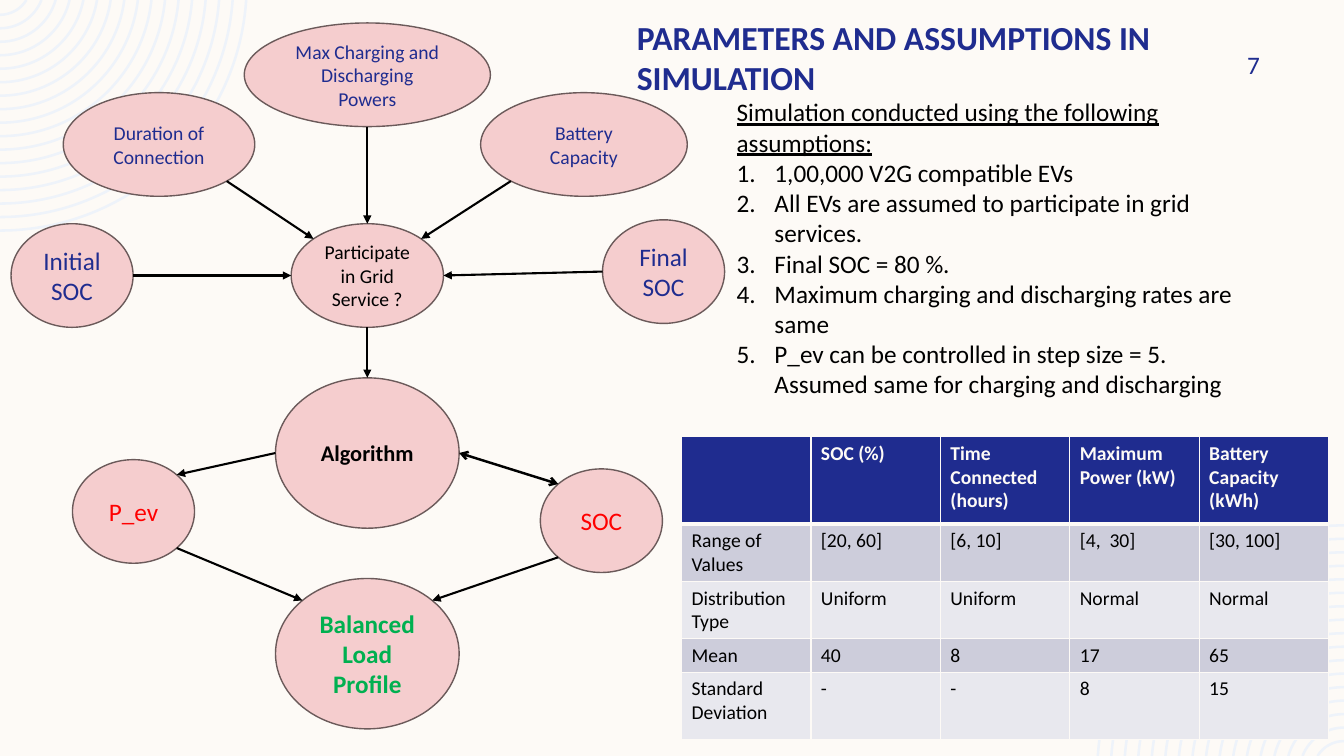
from dataclasses import dataclass
from math import asin, cos, pi, sin, sqrt, tan

from lxml.etree import SubElement as Sub
from pptx import Presentation
from pptx.dml.color import RGBColor as RGB
from pptx.enum.shapes import MSO_CONNECTOR as Conn, MSO_SHAPE as Kind
from pptx.enum.text import MSO_ANCHOR as Anchor, MSO_AUTO_SIZE as Fit, PP_ALIGN as Align
from pptx.oxml.ns import qn
from pptx.util import Pt

CREAM = RGB(0xFD, 0xFA, 0xF6)
PALE = RGB(0xEE, 0xF3, 0xFA)
NAVY = RGB(0x1F, 0x2C, 0x8F)
PINK = RGB(0xF5, 0xCD, 0xCE)
BROWN = RGB(0x6B, 0x5A, 0x5A)
RED = RGB(0xFF, 0, 0)
GREEN = RGB(0, 0xB0, 0x50)
BLACK = RGB(0, 0, 0)
BANDS = (RGB(0xCD, 0xCD, 0xDB), RGB(0xE8, 0xE8, 0xEE))
WIDE, HIGH = 960, 540


@dataclass
class Node:
    text: str
    x: float  # centre
    y: float
    w: float = 87.2
    h: float = 74
    size: int = 18
    color: RGB = NAVY
    bold: bool = False

    def site(self, side: str) -> tuple[float, float]:
        """Point on the ellipse at a compass side."""
        dx = ("E" in side) - ("W" in side)
        dy = ("S" in side) - ("N" in side)
        k = 1 / sqrt(dx * dx + dy * dy)
        return self.x + dx * k * self.w / 2, self.y + dy * k * self.h / 2


@dataclass
class Link:
    start: str
    out: str
    end: str
    into: str
    both: bool = False


MID = 262.4
NODES = {
    "algo": Node("Algorithm", MID, 323.6, 131.2, 107.4, 16, BLACK, True),
    "init": Node("Initial SOC", 51.5, 196.8),
    "time": Node("Duration of Connection", 113.6, 103.2, 136.8, size=14),
    "cap": Node("Battery Capacity", 417.1, 103.2, 147.6, size=14),
    "join": Node("Participate\nin Grid Service ?", MID, 196.8, 108.8, size=14, color=BLACK),
    "pev": Node("P_ev", 95.4, 365.3, color=RED),
    "soc": Node("SOC", 429.6, 371.9, color=RED),
    "load": Node("Balanced Load Profile", MID, 466.9, 131.2, 107.4, color=GREEN, bold=True),
    "last": Node("Final SOC", 474, 194),
    "max": Node("Max Charging and Discharging Powers", MID, 53.4, 175.8, size=14),
}
LINKS = [
    Link("init", "E", "join", "W"),
    Link("time", "SE", "join", "NW"),
    Link("max", "S", "join", "N"),
    Link("cap", "SW", "join", "NE"),
    Link("last", "W", "join", "E"),
    Link("algo", "W", "pev", "NE"),
    Link("algo", "E", "soc", "NW", True),
    Link("join", "S", "algo", "N"),
    Link("pev", "SE", "load", "NW"),
    Link("soc", "SW", "load", "NE"),
]
RULES = [
    "1,00,000 V2G compatible EVs",
    "All EVs are assumed to participate in grid services.",
    "Final SOC = 80 %.",
    "Maximum charging and discharging rates are same",
    "P_ev can be controlled in step size = 5. Assumed same for charging and discharging",
]
ROWS = [
    (62.6, ["", "SOC (%)", "Time Connected (hours)", "Maximum Power (kW)", "Battery Capacity (kWh)"]),
    (33.8, ["Range of Values", "[20, 60]", "[6, 10]", "[4,  30]", "[30, 100]"]),
    (33.8, ["Distribution Type", "Uniform", "Uniform", "Normal", "Normal"]),
    (19.4, ["Mean", "40", "8", "17", "65"]),
    (48.2, ["Standard Deviation", "-", "-", "8", "15"]),
]


def style(par, size: int, color: RGB, bold: bool = False) -> None:
    font = par.font
    font.name, font.size, font.bold = "Calibri", Pt(size), bold
    font.color.rgb = color


def arc(r: float, far: bool) -> list:
    """Start, two handles and end of an arc around a point just off the corner."""
    low, drop = asin(11.5 / r), 11.5
    k = 4 / 3 * tan((pi / 2 - low) / 4) * r
    x, y = r * cos(low), r * sin(low) - drop
    pts = [(x, y), (x - k * sin(low), y + k * cos(low)), (k, r - drop), (0, r - drop)]
    return [(Pt(WIDE - x), Pt(HIGH - y)) if far else (Pt(x), Pt(y)) for x, y in pts]


def rings(slide, far: bool) -> None:
    """Concentric arcs in the top left corner, or turned to the bottom right."""
    arcs = [arc(176.2 - 9.63 * i, far) for i in range(17)]
    form = slide.shapes.build_freeform(*arcs[0][0], scale=1.0)
    for i, pts in enumerate(arcs):
        if i:
            form.move_to(*pts[0])
        form.add_line_segments(pts[1:], close=False)
    shape = form.convert_to_shape()
    shape.shadow.inherit = False
    shape.fill.background()
    shape.line.color.rgb, shape.line.width = PALE, Pt(1.8)
    # Turn each three segments into one curve
    for track in shape._element.iter(qn("a:path")):
        legs = list(track.iter(qn("a:lnTo")))
        for i in range(0, len(legs), 3):
            curve = Sub(track, qn("a:cubicBezTo"))
            legs[i].addprevious(curve)
            for leg in legs[i:i + 3]:
                curve.append(leg[0])
                track.remove(leg)


def oval(slide, node: Node) -> None:
    shape = slide.shapes.add_shape(Kind.OVAL, Pt(node.x - node.w / 2), Pt(node.y - node.h / 2),
                                   Pt(node.w), Pt(node.h))
    shape.shadow.inherit = False
    shape.fill.solid()
    shape.fill.fore_color.rgb = PINK
    shape.line.color.rgb, shape.line.width = BROWN, Pt(1)
    frame = shape.text_frame
    frame.text, frame.word_wrap = node.text, True
    frame.vertical_anchor = Anchor.MIDDLE
    for par in frame.paragraphs:
        par.alignment = Align.CENTER
        style(par, node.size, node.color, node.bold)


def arrow(slide, link: Link) -> None:
    ends = (*NODES[link.start].site(link.out), *NODES[link.end].site(link.into))
    line = slide.shapes.add_connector(Conn.STRAIGHT, *map(Pt, ends))
    line.line.color.rgb = BLACK
    line.line.width = Pt(1.75 if link.both else 1.5)
    props = line._element.spPr
    stroke = props.find(qn("a:ln"))
    if link.both:
        Sub(stroke, qn("a:headEnd"), type="arrow")
    Sub(stroke, qn("a:tailEnd"), type="arrow" if link.both else "triangle")
    Sub(props, qn("a:effectLst"))


def label(slide, text: str, x: float, y: float, w: float, h: float):
    frame = slide.shapes.add_textbox(Pt(x), Pt(y), Pt(w), Pt(h)).text_frame
    frame.text, frame.word_wrap = text, True
    return frame


def edge(cell, top: float, low: float) -> None:
    props = cell._tc.get_or_add_tcPr()
    for i, (side, wide) in enumerate((("L", 1), ("R", 1), ("T", top), ("B", low))):
        line = Sub(props, qn("a:ln" + side), w=str(Pt(wide)))
        Sub(Sub(line, qn("a:solidFill")), qn("a:srgbClr"), val=str(CREAM))
        props.insert(i, line)


def grid(slide) -> None:
    table = slide.shapes.add_table(len(ROWS), 5, Pt(486.8), Pt(311.8), Pt(462.2), Pt(216.7)).table
    for col in table.columns:
        col.width = Pt(462.2 / 5)
    for i, (high, texts) in enumerate(ROWS):
        table.rows[i].height = Pt(high)
        head = i == 0
        for j, text in enumerate(texts):
            cell = table.cell(i, j)
            cell.text = text
            cell.fill.solid()
            cell.fill.fore_color.rgb = NAVY if head else BANDS[(i - 1) % 2]
            edge(cell, 3 if i == 1 else 1, 3 if head else 1)
            style(cell.text_frame.paragraphs[0], 14, CREAM if head else BLACK, head)


def main() -> None:
    deck = Presentation()
    deck.slide_width, deck.slide_height = Pt(WIDE), Pt(HIGH)
    slide = deck.slides.add_slide(deck.slide_layouts[6])
    slide.background.fill.solid()
    slide.background.fill.fore_color.rgb = CREAM
    for far in (False, True):
        rings(slide, far)

    # Page number
    frame = label(slide, "7", 822.2, 36, 77.8, 19.4)
    frame.margin_right, frame.vertical_anchor = 0, Anchor.MIDDLE
    frame.paragraphs[0].alignment = Align.RIGHT
    style(frame.paragraphs[0], 18, NAVY)

    # Flow chart
    for node in NODES.values():
        oval(slide, node)
    for link in LINKS:
        arrow(slide, link)

    # Assumptions
    frame = label(slide, "Simulation conducted using the following assumptions:", 519.1, 65.5, 380.2, 225.4)
    frame.auto_size = Fit.SHAPE_TO_FIT_TEXT
    style(frame.paragraphs[0], 18, BLACK)
    frame.paragraphs[0].font.underline = True
    for rule in RULES:
        par = frame.add_paragraph()
        par.text = rule
        props = par._p.get_or_add_pPr()
        props.set("marL", str(Pt(27)))
        props.set("indent", str(-Pt(27)))
        Sub(props, qn("a:buAutoNum"), type="arabicPeriod")
        style(par, 18, BLACK)

    # Values and title
    grid(slide)
    frame = label(slide, "PARAMETERS AND ASSUMPTIONS IN SIMULATION", 447.8, 8.6, 422.6, 65.5)
    frame.auto_size = Fit.SHAPE_TO_FIT_TEXT
    style(frame.paragraphs[0], 24, NAVY, True)

    deck.save("out.pptx")


if __name__ == "__main__":
    main()
